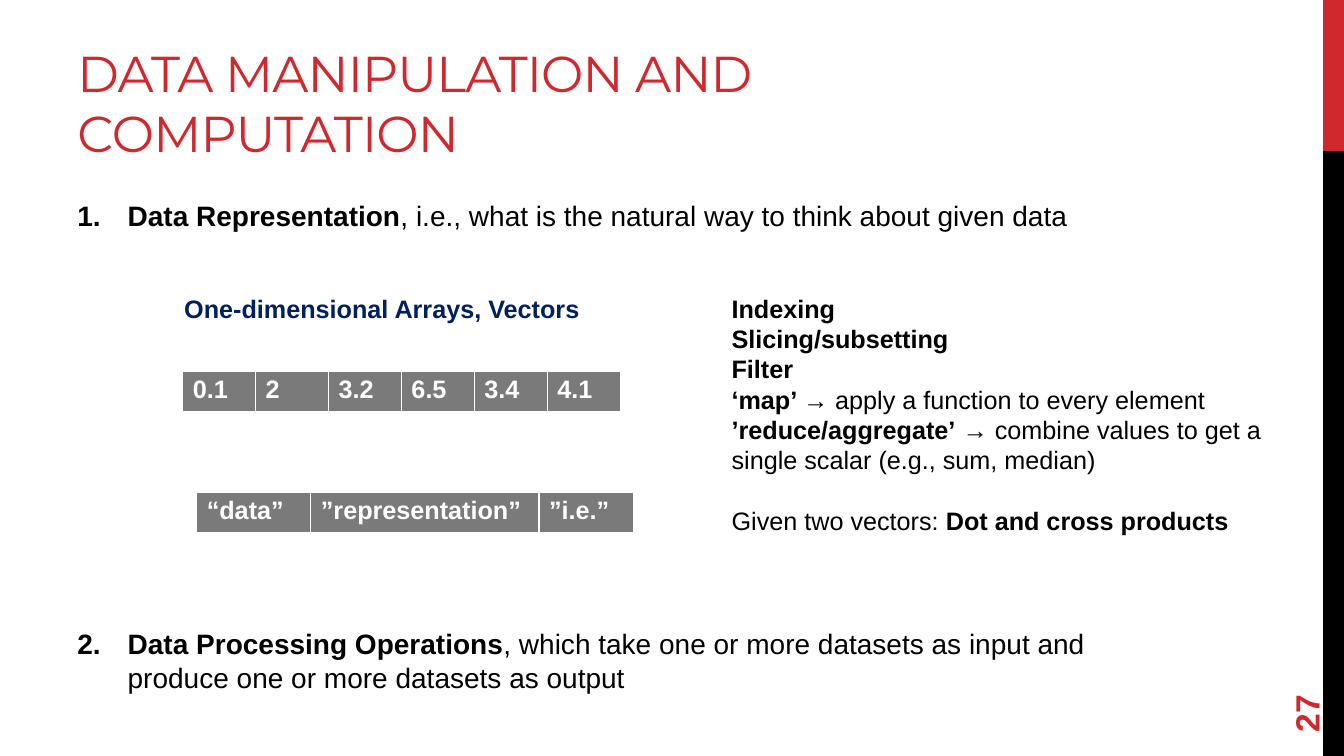
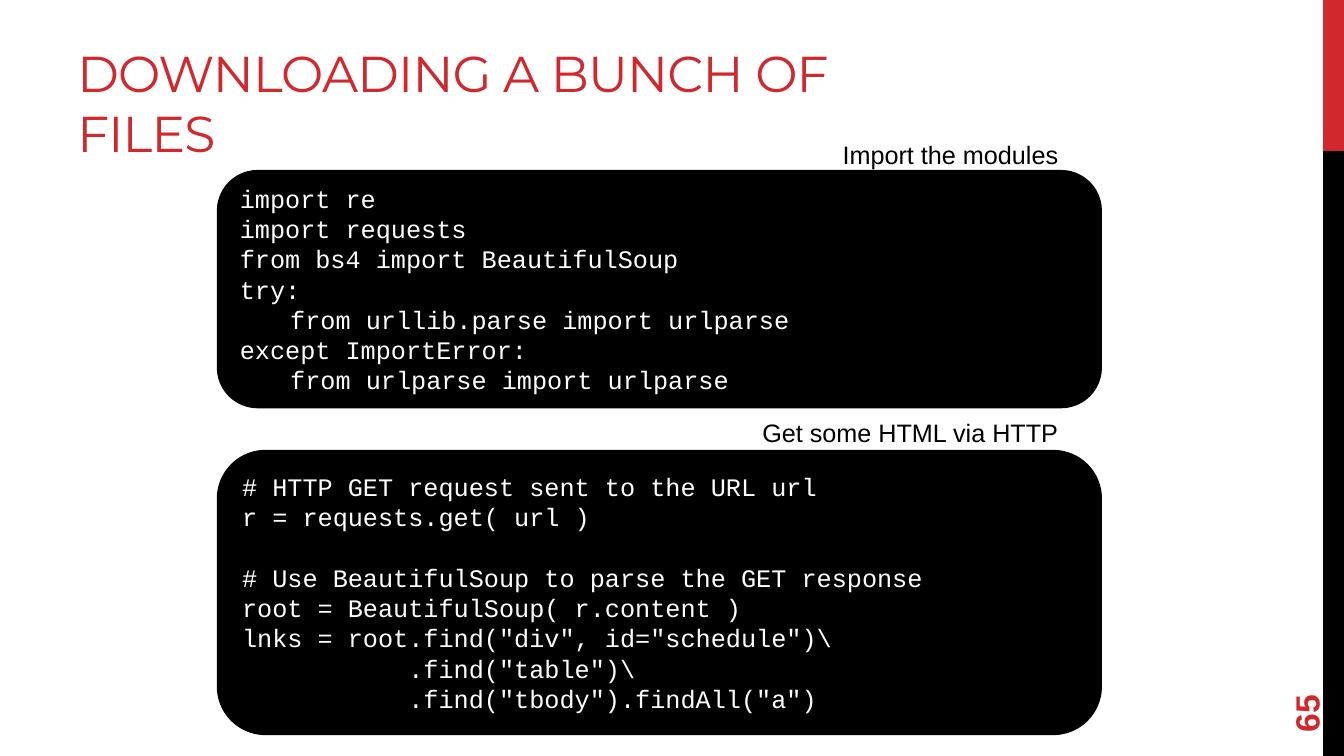
from dataclasses import dataclass

from lxml import etree
from pptx import Presentation
from pptx.dml.color import RGBColor
from pptx.enum.shapes import MSO_SHAPE
from pptx.enum.text import MSO_ANCHOR, MSO_AUTO_SIZE, PP_ALIGN
from pptx.oxml.ns import qn
from pptx.util import Pt

RECT, ROUND_RECT = MSO_SHAPE.RECTANGLE, MSO_SHAPE.ROUNDED_RECTANGLE
TOP, MIDDLE, BOTTOM = MSO_ANCHOR.TOP, MSO_ANCHOR.MIDDLE, MSO_ANCHOR.BOTTOM
LEFT, RIGHT = PP_ALIGN.LEFT, PP_ALIGN.RIGHT
NO_AUTOFIT = MSO_AUTO_SIZE.NONE
TITLE_AND_BODY, TITLE_ONLY = 1, 5


@dataclass(frozen=True)
class Theme:
    red: str = "D1282E"
    black: str = "000000"
    white: str = "FFFFFF"
    gray: str = "7A7A7A"
    navy: str = "002060"
    title_font: str = "Montserrat"
    text_font: str = "Arial"
    code_font: str = "Courier New"
    title_size: int = 36
    number_size: int = 24
    list_size: int = 20
    text_size: int = 18
    leading: float = 1.2


T = Theme()
WIDTH, HEIGHT = 960, 540
BAND_LEFT, BAND_SPLIT = 945, 108
TITLE_BOX = (48, 12, 608, 108)
NUMBER_BOX = (881, 459, 104, 38)

# Content: a paragraph is a list of (text, bold) runs; None leaves one line free
REPRESENTATION = {
    "title": "DATA MANIPULATION AND COMPUTATION",
    "number": "27",
    "list": [
        [("Data Representation", True),
         (", i.e., what is the natural way to think about given data", False)],
        [("Data Processing Operations", True),
         (", which take one or more datasets as input and produce one or more "
          "datasets as output", False)],
    ],
    "heading": [[("One-dimensional Arrays, Vectors", True)]],
    "operations": [
        [("Indexing", True)],
        [("Slicing/subsetting", True)],
        [("Filter", True)],
        [("‘map’ ", True), ("→ apply a function to every element", False)],
        [("’reduce/aggregate’", True),
         (" → combine values to get a single scalar (e.g., sum, median)", False)],
        None,
        [("Given two vectors: ", False), ("Dot and cross products", True)],
    ],
    # left, top, column widths, values
    "vectors": [
        (130.5, 265, [52.1] * 6, ["0.1", "2", "3.2", "6.5", "3.4", "4.1"]),
        (140.5, 351.5, [81.5, 163, 67.5], ["“data”", "”representation”", "”i.e.”"]),
    ],
}

DOWNLOADING = {
    "title": "DOWNLOADING A BUNCH OF FILES",
    "number": "65",
    # caption, caption top, code top, code height, code lines
    "blocks": [
        ("Import the modules", 96, 122.5, 168, [
            "import re",
            "import requests",
            "from bs4 import BeautifulSoup",
            "try:",
            "\tfrom urllib.parse import urlparse",
            "except ImportError:",
            "\tfrom urlparse import urlparse",
        ]),
        ("Get some HTML via HTTP", 294.5, 322.5, 201.5, [
            "# HTTP GET request sent to the URL url",
            "r = requests.get( url )",
            None,
            "# Use BeautifulSoup to parse the GET response",
            "root = BeautifulSoup( r.content )",
            "lnks = root.find(\"div\", id=\"schedule\")\\",
            "           .find(\"table\")\\",
            "           .find(\"tbody\").findAll(\"a\")",
        ]),
    ],
}


def rgb(value):
    return RGBColor.from_string(value)


def place(shape, box):
    shape.left, shape.top, shape.width, shape.height = map(Pt, box)


def plain(lines):
    return [line and [(line, False)] for line in lines]


def write(tf, paragraphs, size=T.text_size, color=T.black, font=T.text_font,
          align=LEFT, anchor=TOP):
    """Fill a text frame run by run and return its paragraphs."""
    tf.word_wrap = True
    tf.auto_size = NO_AUTOFIT
    tf.vertical_anchor = anchor
    line = Pt(size * T.leading)
    done, gap = [], 0
    for runs in paragraphs:
        if runs is None:
            gap += line
            continue
        p = tf.add_paragraph() if done else tf.paragraphs[0]
        p.alignment, p.line_spacing = align, line
        p.space_before, p.space_after = gap, 0
        for text, bold in runs:
            r = p.add_run()
            r.text = text
            r.font.name, r.font.size, r.font.bold = font, Pt(size), bold
            r.font.color.rgb = rgb(color)
        done.append(p)
        gap = 0
    return done


def add_text(s, box, paragraphs, **style):
    shape = s.shapes.add_textbox(*map(Pt, box))
    write(shape.text_frame, paragraphs, **style)
    return shape


def add_block(s, kind, box, color):
    shape = s.shapes.add_shape(kind, *map(Pt, box))
    shape.shadow.inherit = False
    shape.fill.solid()
    shape.fill.fore_color.rgb = rgb(color)
    shape.line.fill.background()
    return shape


def add_slide(prs, layout, content):
    """Slide with the shared title and the turned page number."""
    s = prs.slides.add_slide(prs.slide_layouts[layout])
    title = s.shapes.title
    place(title, TITLE_BOX)
    p, = write(title.text_frame, plain([content["title"]]), T.title_size, T.red,
               T.title_font, anchor=BOTTOM)
    p.runs[0].font._element.set("spc", "-60")
    number = add_text(s, NUMBER_BOX, [[(content["number"], True)]],
                      size=T.number_size, color=T.red, anchor=MIDDLE)
    number.rotation = 270
    return s


def add_master_bands(prs):
    """Draw the right-hand bands once and move them to the master."""
    bands = [(0, BAND_SPLIT, T.red), (BAND_SPLIT, HEIGHT, T.black)]
    for shape_id, (top, bottom, color) in enumerate(bands, 101):
        box = (BAND_LEFT, top, WIDTH - BAND_LEFT, bottom - top)
        band = add_block(prs.slides[0], RECT, box, color)
        band.element.nvSpPr.cNvPr.set("id", str(shape_id))
        prs.slide_master.shapes.element.append(band.element)


def add_vector(s, left, top, widths, values):
    frame = s.shapes.add_table(1, len(values), Pt(left), Pt(top),
                               Pt(sum(widths)), Pt(29))
    for i, (width, value) in enumerate(zip(widths, values)):
        frame.table.columns[i].width = Pt(width)
        cell = frame.table.cell(0, i)
        cell.fill.solid()
        cell.fill.fore_color.rgb = rgb(T.gray)
        p = cell.text_frame.paragraphs[0]
        r = p.add_run()
        r.text = value
        r.font.name, r.font.size, r.font.bold = T.text_font, Pt(T.text_size), True
        r.font.color.rgb = rgb(T.white)


def build_representation(prs):
    content = REPRESENTATION
    s = add_slide(prs, TITLE_AND_BODY, content)

    # Numbered list, with room for the example between its items
    body = s.placeholders[1]
    place(body, (48, 138, 800, 360))
    items = write(body.text_frame, content["list"], T.list_size)
    for p in items:
        pPr = p._p.get_or_add_pPr()
        pPr.set("marL", str(Pt(36)))
        pPr.set("indent", str(-Pt(36)))
        etree.SubElement(pPr, qn("a:buFont"), typeface="+mj-lt")
        etree.SubElement(pPr, qn("a:buAutoNum"), type="arabicPeriod")
    items[1].space_before = Pt(282)

    # Example vectors and what can be done with them
    add_text(s, (124.5, 206, 300, 29), content["heading"], color=T.navy)
    add_text(s, (515.5, 206, 393, 225), content["operations"])
    for vector in content["vectors"]:
        add_vector(s, *vector)


def build_downloading(prs):
    s = add_slide(prs, TITLE_ONLY, DOWNLOADING)
    for caption, caption_top, top, height, lines in DOWNLOADING["blocks"]:
        code = add_block(s, ROUND_RECT, (156, top, 630, height), T.black)
        code.line.color.rgb = rgb(T.black)
        code.line.width = Pt(2.25)
        write(code.text_frame, plain(lines), color=T.white, font=T.code_font,
              anchor=MIDDLE)
        add_text(s, (536, caption_top, 227, 29), plain([caption]), align=RIGHT)


def main():
    prs = Presentation()
    prs.slide_width, prs.slide_height = Pt(WIDTH), Pt(HEIGHT)
    build_representation(prs)
    build_downloading(prs)
    add_master_bands(prs)
    prs.save("out.pptx")


if __name__ == "__main__":
    main()
